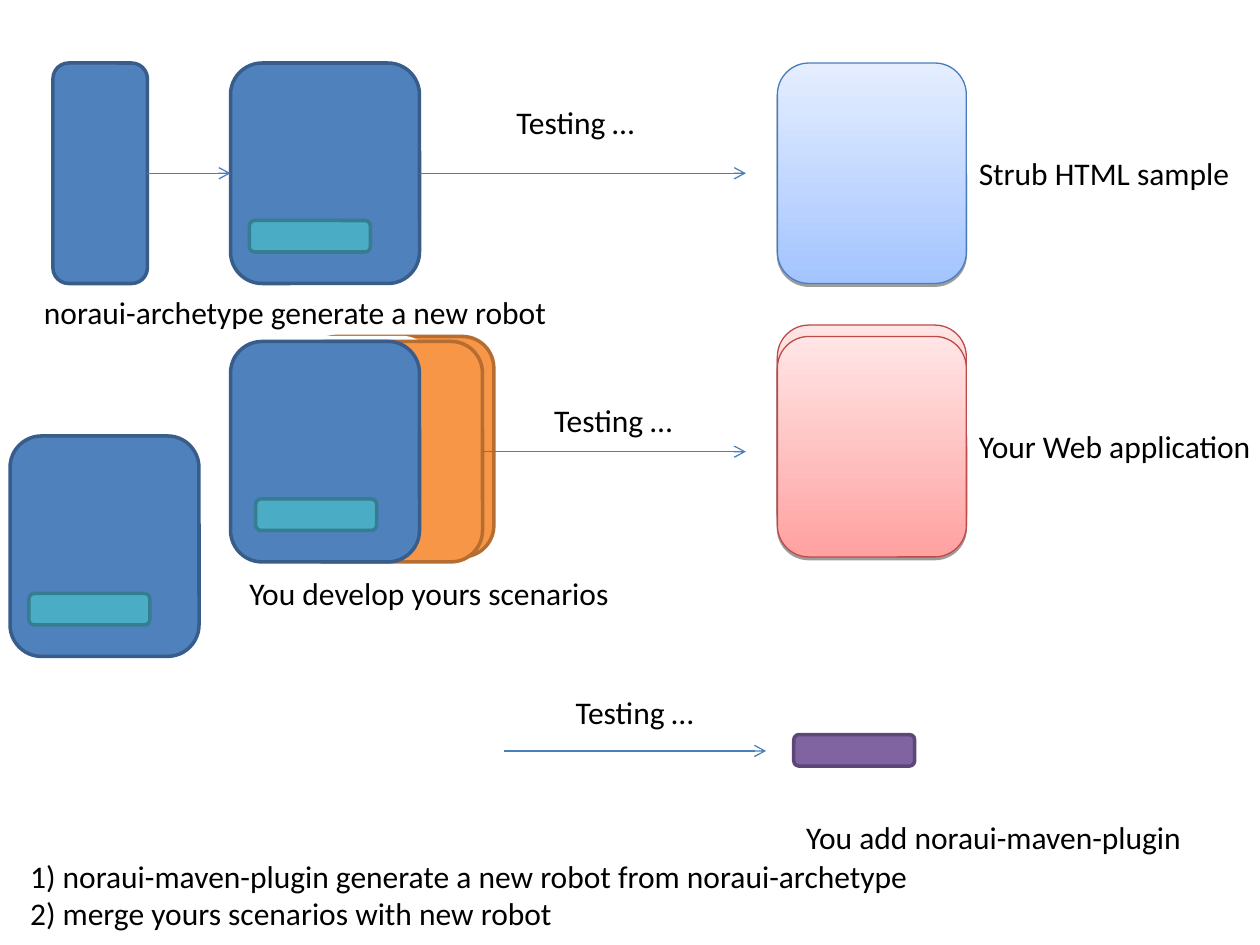
from lxml import etree
from pptx import Presentation
from pptx.dml.color import RGBColor
from pptx.enum.shapes import MSO_CONNECTOR, MSO_SHAPE
from pptx.oxml import parse_xml
from pptx.oxml.ns import nsdecls, qn
from pptx.util import Inches, Pt

ROUND = MSO_SHAPE.ROUNDED_RECTANGLE
STRAIGHT = MSO_CONNECTOR.STRAIGHT
WIDE, HIGH = 1.5, 1.75
BLUE = ("4F81BD", "385D8A")
ORANGE = ("F79646", "B66D31")
TEAL = ("4BACC6", "357D91")
PURPLE = ("8064A2", "5C4776")
SKY = ("A3C4FF", "E5EEFF", "4A7EBB")
ROSE = ("FFA2A1", "FFE5E5", "BE4B48")


def tint(code):
    """Turn a hex string into a colour."""
    return RGBColor.from_string(code)


def card(slide, x, y, pair, w=WIDE, h=HIGH):
    """Draw a rounded box with a flat fill and a thick edge."""
    box = slide.shapes.add_shape(ROUND, Inches(x), Inches(y), Inches(w), Inches(h))
    box.shadow.inherit = False
    box.fill.solid()
    box.fill.fore_color.rgb = tint(pair[0])
    box.line.color.rgb = tint(pair[1])
    box.line.width = Pt(2)
    return box


def chip(slide, x, y, pair):
    """Draw a small rounded plugin chip."""
    return card(slide, x, y, pair, 0.96, 0.25)


def robot(slide, x, y, inset=0.15):
    """Draw a robot: a blue card with a teal chip in it."""
    body = card(slide, x, y, BLUE)
    chip(slide, x + inset, y + 1.25, TEAL)
    return body


def target(slide, x, y, tones):
    """Draw a tested page: a card with a gradient and a low shadow."""
    page = card(slide, x, y, tones)
    low, high, edge = tones
    page.fill.gradient()
    page.fill.gradient_angle = 90
    for stop, code in zip(page.fill.gradient_stops, (low, high)):
        stop.color.rgb = tint(code)
    page.line.color.rgb = tint(edge)
    page.line.width = Pt(0.75)
    page._element.spPr.find(qn("a:effectLst")).append(parse_xml(
        f'<a:outerShdw {nsdecls("a")} blurRad="0" dist="{Pt(1.6)}" dir="5400000" '
        'rotWithShape="0"><a:srgbClr val="000000"><a:alpha val="38000"/>'
        '</a:srgbClr></a:outerShdw>'))


def arrow(slide, x, y, end, start=None, goal=None):
    """Draw a level arrow, joined to the start and goal cards if given."""
    wire = slide.shapes.add_connector(STRAIGHT, Inches(x), Inches(y), Inches(end), Inches(y))
    if start is not None:
        wire.begin_connect(start, 3)
    if goal is not None:
        wire.end_connect(goal, 1)
    wire.line.color.rgb = tint("4A7EBB")
    wire.line.width = Pt(0.75)
    edge = wire.line._get_or_add_ln()
    etree.SubElement(edge, qn("a:tailEnd"), type="arrow")
    etree.SubElement(wire._element.spPr, qn("a:effectLst"))


def note(slide, x, y, w, *lines):
    """Write plain text lines."""
    box = slide.shapes.add_textbox(Inches(x), Inches(y), Inches(w), Inches(0.1 + 0.3 * len(lines)))
    frame = box.text_frame
    frame.word_wrap = True
    frame.text = "\n".join(lines)
    for para in frame.paragraphs:
        para.font.name = "Calibri"
        para.font.size = Pt(18)
        para.font.color.rgb = tint("000000")


def create(slide, x, y):
    """Draw the row where the archetype makes a robot."""
    kit = card(slide, x, y, BLUE, WIDE / 2)
    made = robot(slide, x + 1.41, y)
    mid = y + HIGH / 2
    arrow(slide, x + 0.75, mid, x + 1.41, kit, made)
    arrow(slide, x + 2.91, mid, x + 5.5, made)
    target(slide, x + 5.75, y, SKY)
    note(slide, x + 3.58, y + 0.27, 1.2, "Testing …")
    note(slide, x + 7.25, y + 0.67, 2.33, "Strub HTML sample")
    note(slide, x - 0.17, y + 1.78, 5.92, "noraui-archetype generate a new robot")


def develop(slide, x, y):
    """Draw the row where scenarios are added to the robot."""
    card(slide, x + 0.59, y - 0.04, ORANGE)
    gap = card(slide, x + 0.11, y - 0.04, ("FFFFFF", "FFFFFF"))
    gap.line.width = Pt(0)
    plan = card(slide, x + 0.5, y, ORANGE)
    robot(slide, x, y, 0.2)
    arrow(slide, x + 2, y + HIGH / 2, x + 4.09, plan)
    for rise in (0.13, 0.04):
        target(slide, x + 4.34, y - rise, ROSE)
    note(slide, x + 2.47, y + 0.42, 1.2, "Testing …")
    note(slide, x + 5.84, y + 0.63, 2.69, "Your Web application")
    note(slide, x + 0.05, y + 1.8, 3.12, "You develop yours scenarios")


def extend(slide, x, y):
    """Draw the row where the plugin is added."""
    arrow(slide, x, y, x + 2.08)
    chip(slide, x + 2.3, y - 0.13, PURPLE)
    note(slide, x + 0.47, y - 0.51, 1.2, "Testing …")
    note(slide, x + 2.3, y + 0.48, 3.6, "You add noraui-maven-plugin")


def main():
    """Build and save the slide."""
    deck = Presentation()
    deck.slide_width, deck.slide_height = Inches(10), Inches(7.5)
    slide = deck.slides.add_slide(deck.slide_layouts[6])
    create(slide, 0.42, 0.5)
    develop(slide, 1.83, 2.71)
    robot(slide, 0.08, 3.46)
    extend(slide, 4, 5.96)
    note(slide, 0.14, 6.75, 9.22,
         "1) noraui-maven-plugin generate a new robot from noraui-archetype",
         "2) merge yours scenarios with new robot")
    deck.save("out.pptx")


if __name__ == "__main__":
    main()
